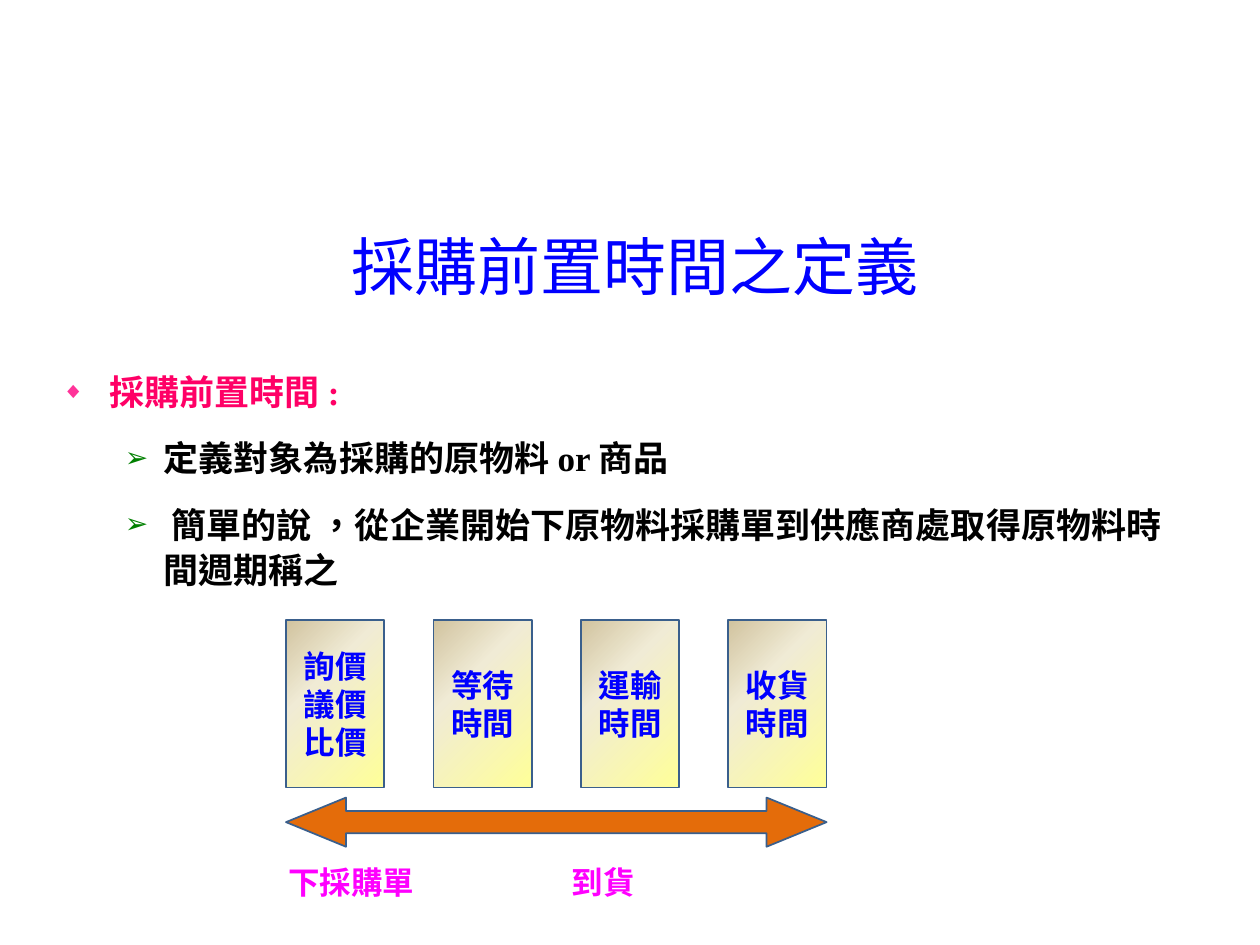
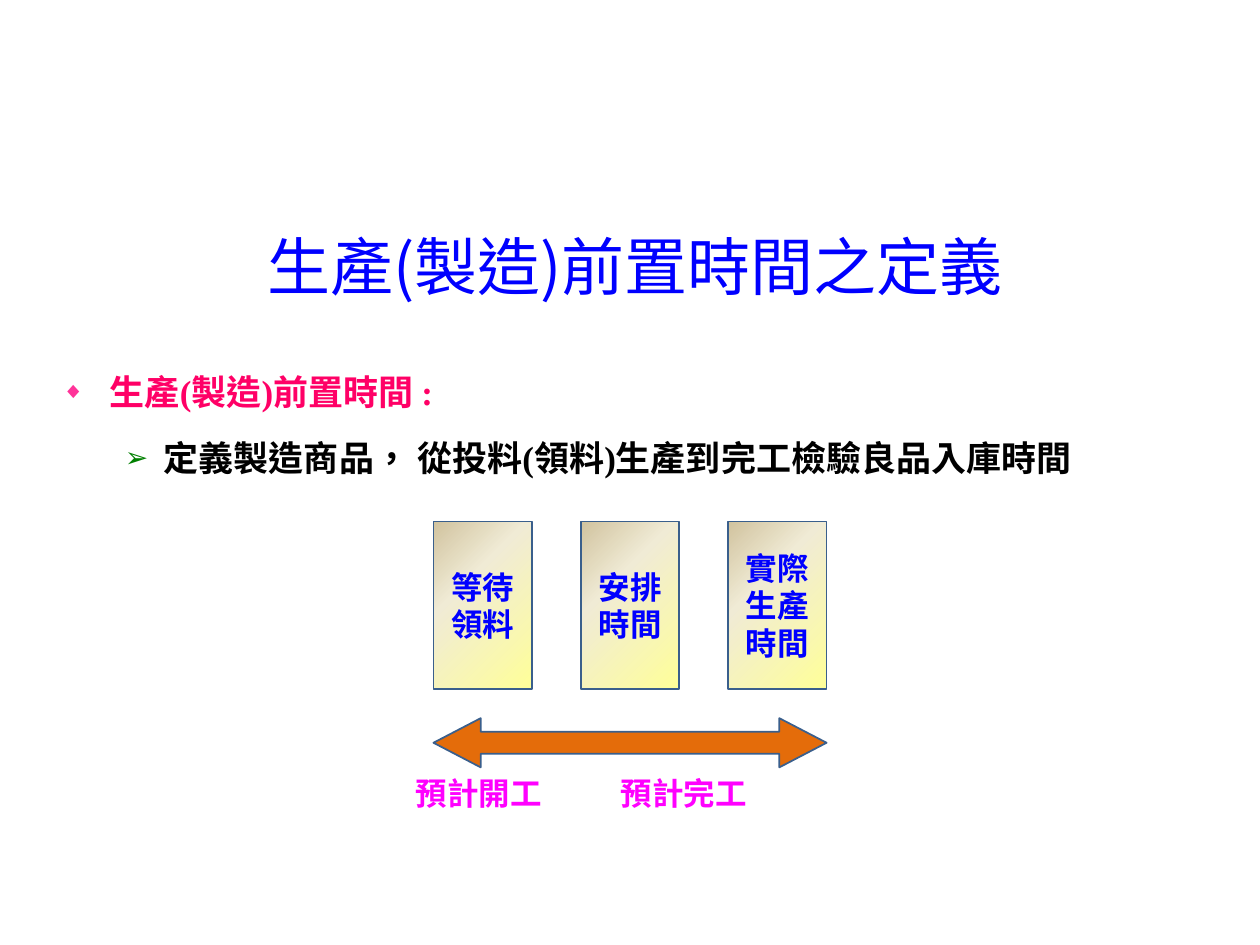
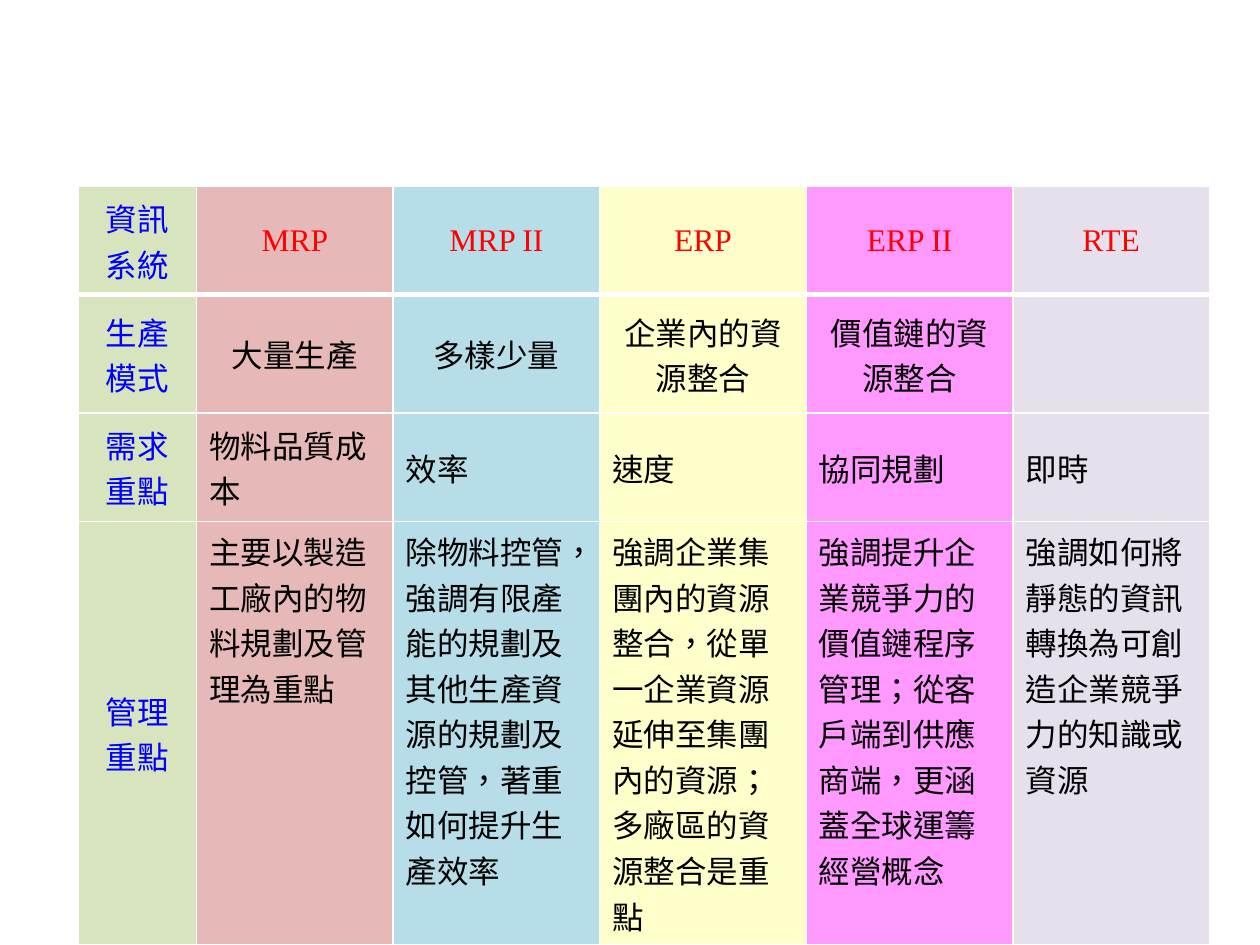
from pptx import Presentation
from pptx.dml.color import RGBColor
from pptx.enum.lang import MSO_LANGUAGE_ID as Language
from pptx.enum.shapes import MSO_SHAPE as Shape
from pptx.enum.text import MSO_ANCHOR as Anchor, MSO_AUTO_SIZE as AutoSize, PP_ALIGN as Align
from pptx.oxml import parse_xml
from pptx.oxml.ns import qn
from pptx.util import Inches, Pt
from lxml.etree import SubElement

BLUE, BLACK, WHITE, RED = "0000FF", "000000", "FFFFFF", "FF0000"
PINK, MAGENTA, ORANGE, OUTLINE = "FF0066", "FF00FF", "E46C0A", "3A5F8C"
SANS, SERIF, TITLE_FONT = "Noto Sans CJK SC", "Times New Roman", "Noto Sans CJK JP"
DRAWING = "http://schemas.openxmlformats.org/drawingml/2006/main"
BOX_STOPS = [(0, "FFFF99"), (65, "F0EBD5"), (100, "D1C39F")]
BOX_LEFT, BOX_STEP, BOX_WIDTH, BOX_HEIGHT = 2.27, 1.17, 0.78, 1.33
BOX_COUNT = 4
LABEL_LEADING = Pt(21.6)

TITLE_STYLE = dict(name=TITLE_FONT, size=Pt(36), bold=False)
BODY_STYLE = dict(name=SERIF, size=Pt(20), bold=True)
LABEL_STYLE = dict(name=SANS, size=Pt(18), bold=True)
CELL_STYLE = dict(name=SERIF, size=Pt(18), bold=False)
LEVELS = [
    dict(margin=0.38, hang=0.38, leading=24, before=6, mark="◆", tint="FF3399", scale=65, ink=PINK),
    dict(margin=0.81, hang=0.31, leading=26, before=12, mark="➢", tint="008000", scale=80, ink=BLACK),
]

COLUMN_WIDTHS = [0.94, 1.56, 1.64, 1.64, 1.64, 1.56]
ROW_HEIGHTS = [0.86, 0.94, 0.86, 3.36]
COLUMN_FILLS = ["D7E4BD", "E6B9B8", "B7DEE8", "FFFFCC", "FF99FF", "E6E0EC"]
SYSTEMS = [
    ["資訊系統", "MRP", "MRP II", "ERP", "ERP II", "RTE"],
    ["生產模式", "大量生產", "多樣少量", "企業內的資源整合", "價值鏈的資源整合", ""],
    ["需求重點", "物料品質成本", "效率", "速度", "協同規劃", "即時"],
    [
        "管理重點",
        "主要以製造工廠內的物料規劃及管理為重點",
        "除物料控管，強調有限產能的規劃及其他生產資源的規劃及控管，著重如何提升生產效率",
        "強調企業集團內的資源整合，從單一企業資源延伸至集團內的資源；多廠區的資源整合是重點",
        "強調提升企業競爭力的價值鏈程序管理；從客戶端到供應商端，更涵蓋全球運籌經營概念",
        "強調如何將靜態的資訊轉換為可創造企業競爭力的知識或資源",
    ],
]


def color(value):
    """Turn a hex string into a colour."""
    return RGBColor.from_string(value)


def apply(target, values):
    """Set attributes from a dict."""
    for name, value in values.items():
        setattr(target, name, value)


def place(shape, left, top, width, height):
    """Move and size a shape in inches."""
    apply(shape, dict(left=Inches(left), top=Inches(top), width=Inches(width), height=Inches(height)))


def write(para, text, style, ink):
    """Add one formatted run to a paragraph."""
    span = para.add_run()
    span.text = text
    apply(span.font, style)
    span.font.language_id = Language.TRADITIONAL_CHINESE
    span.font.color.rgb = color(ink)
    if style["name"] != SERIF:
        east = SubElement(span.font._element, qn("a:ea"), typeface=style["name"])
        span.font._element.find(qn("a:latin")).addnext(east)


def add_bullet(para, level):
    """Give a paragraph the indent, spacing and bullet of its level."""
    apply(para, dict(line_spacing=Pt(level["leading"]), space_before=Pt(level["before"])))
    props = para._p.get_or_add_pPr()
    props.set("marL", str(Inches(level["margin"])))
    props.set("indent", str(-Inches(level["hang"])))
    tint = SubElement(props, qn("a:buClr"))
    SubElement(tint, qn("a:srgbClr"), val=level["tint"])
    SubElement(props, qn("a:buSzPct"), val=str(level["scale"] * 1000))
    SubElement(props, qn("a:buChar"), char=level["mark"])


def add_definition(deck, title, items, body_height):
    """Add a page with a title and a two-level list."""
    page = deck.slides.add_slide(deck.slide_layouts[1])
    heading, body = page.placeholders
    place(heading, 0.47, 1.48, 9.14, 1.25)
    heading.text_frame.vertical_anchor = Anchor.MIDDLE
    para = heading.text_frame.paragraphs[0]
    para.alignment = Align.CENTER
    write(para, title, TITLE_STYLE, BLUE)
    place(body, 0.39, 2.89, 9.18, body_height)
    frame = body.text_frame
    frame.auto_size = AutoSize.NONE
    for index, text in enumerate(items):
        para = frame.add_paragraph() if index else frame.paragraphs[0]
        para.level = min(index, 1)
        add_bullet(para, LEVELS[para.level])
        write(para, text, BODY_STYLE, LEVELS[para.level]["ink"])
    return page


def add_outlined(page, kind, left, top, width, height, fill):
    """Add a filled shape with a thin outline."""
    shape = page.shapes.add_shape(kind, *map(Inches, (left, top, width, height)))
    shape.shadow.inherit = False
    shape.fill.solid()
    shape.fill.fore_color.rgb = color(fill)
    shape.line.color.rgb = color(OUTLINE)
    shape.line.width = Pt(1)
    return shape


def shade(shape):
    """Replace a solid fill with the diagonal gradient."""
    stops = "".join(
        f'<a:gs pos="{pos * 1000}"><a:srgbClr val="{value}"/></a:gs>' for pos, value in BOX_STOPS
    )
    gradient = parse_xml(
        f'<a:gradFill xmlns:a="{DRAWING}" rotWithShape="1"><a:gsLst>{stops}</a:gsLst>'
        f'<a:lin ang="{225 * 60000}" scaled="1"/></a:gradFill>'
    )
    props = shape._element.spPr
    props.replace(props.find(qn("a:solidFill")), gradient)


def add_stages(page, names, top, arrow_top, arrow_head):
    """Add right-aligned stage boxes and the double arrow below."""
    first = BOX_COUNT - len(names)
    start = BOX_LEFT + first * BOX_STEP
    for index, name in enumerate(names):
        box = add_outlined(
            page, Shape.RECTANGLE, start + index * BOX_STEP, top, BOX_WIDTH, BOX_HEIGHT, WHITE
        )
        shade(box)
        box.text_frame.word_wrap = True
        box.text_frame.vertical_anchor = Anchor.MIDDLE
        para = box.text_frame.paragraphs[0]
        apply(para, dict(alignment=Align.CENTER, line_spacing=LABEL_LEADING))
        write(para, name, LABEL_STYLE, BLUE)
    span_width = (len(names) - 1) * BOX_STEP + BOX_WIDTH
    arrow = add_outlined(page, Shape.LEFT_RIGHT_ARROW, start, arrow_top, span_width, 0.39, ORANGE)
    arrow.adjustments[0] = 0.45
    arrow.adjustments[1] = arrow_head


def add_endpoints(page, begin, end, left, top, width, tab):
    """Add the two labels below the arrow, set apart by a tab stop."""
    box = page.shapes.add_textbox(*map(Inches, (left, top, width, 0.4)))
    box.text_frame.word_wrap = True
    para = box.text_frame.paragraphs[0]
    para.line_spacing = LABEL_LEADING
    stops = SubElement(para._p.get_or_add_pPr(), qn("a:tabLst"))
    SubElement(stops, qn("a:tab"), pos=str(Inches(tab)), algn="l")
    write(para, f"{begin}\t{end}", LABEL_STYLE, MAGENTA)


def add_borders(cell, widths):
    """Draw white cell borders with widths in points by side."""
    props = cell._tc.get_or_add_tcPr()
    for side, width in widths.items():
        line = SubElement(props, qn(f"a:ln{side}"), w=str(Pt(width)))
        SubElement(SubElement(line, qn("a:solidFill")), qn("a:srgbClr"), val=WHITE)


def fill_cell(cell, row, column, text):
    """Format one table cell by its row and column."""
    add_borders(cell, dict(L=1, R=1, T=3 if row == 1 else 1, B=1 if row else 3))
    cell.fill.solid()
    cell.fill.fore_color.rgb = color(COLUMN_FILLS[column])
    cell.vertical_anchor = Anchor.TOP if row == 3 and column else Anchor.MIDDLE
    para = cell.text_frame.paragraphs[0]
    para.alignment = Align.CENTER if row < 2 or column == 0 else Align.LEFT
    if text:
        write(para, text, CELL_STYLE, BLUE if column == 0 else BLACK if row else RED)


def add_comparison(deck):
    """Add the page that compares the information systems."""
    page = deck.slides.add_slide(deck.slide_layouts[6])
    size = (0.62, 1.48, sum(COLUMN_WIDTHS), sum(ROW_HEIGHTS))
    table = page.shapes.add_table(len(SYSTEMS), len(COLUMN_WIDTHS), *map(Inches, size)).table
    apply(table, dict(first_row=False, horz_banding=False))
    for column, width in zip(table.columns, COLUMN_WIDTHS):
        column.width = Inches(width)
    for row, height in zip(table.rows, ROW_HEIGHTS):
        row.height = Inches(height)
    for row, texts in enumerate(SYSTEMS):
        for column, text in enumerate(texts):
            fill_cell(table.cell(row, column), row, column, text)


def main():
    """Build the deck and save it."""
    deck = Presentation()
    apply(deck, dict(slide_width=Inches(10), slide_height=Inches(7.5)))

    purchase = add_definition(deck, "採購前置時間之定義", [
        "採購前置時間 :",
        "定義對象為採購的原物料 or 商品",
        " 簡單的說 ，從企業開始下原物料採購單到供應商處取得原物料時間週期稱之",
    ], 1.95)
    add_stages(purchase, ["詢價議價比價", "等待時間", "運輸時間", "收貨時間"], 4.92, 6.33, 1.22)
    add_endpoints(purchase, "下採購單", "到貨", 2.19, 6.8, 4.45, 2.25)

    production = add_definition(deck, "生產(製造)前置時間之定義", [
        "生產(製造)前置時間 :",
        "定義製造商品， 從投料(領料)生產到完工檢驗良品入庫時間",
    ], 1.09)
    add_stages(production, ["等待領料", "安排時間", "實際生產時間"], 4.14, 5.7, 0.96)
    add_endpoints(production, "預計開工", "預計完工", 3.2, 6.09, 3.59, 1.63)

    add_comparison(deck)
    deck.save("out.pptx")


if __name__ == "__main__":
    main()
